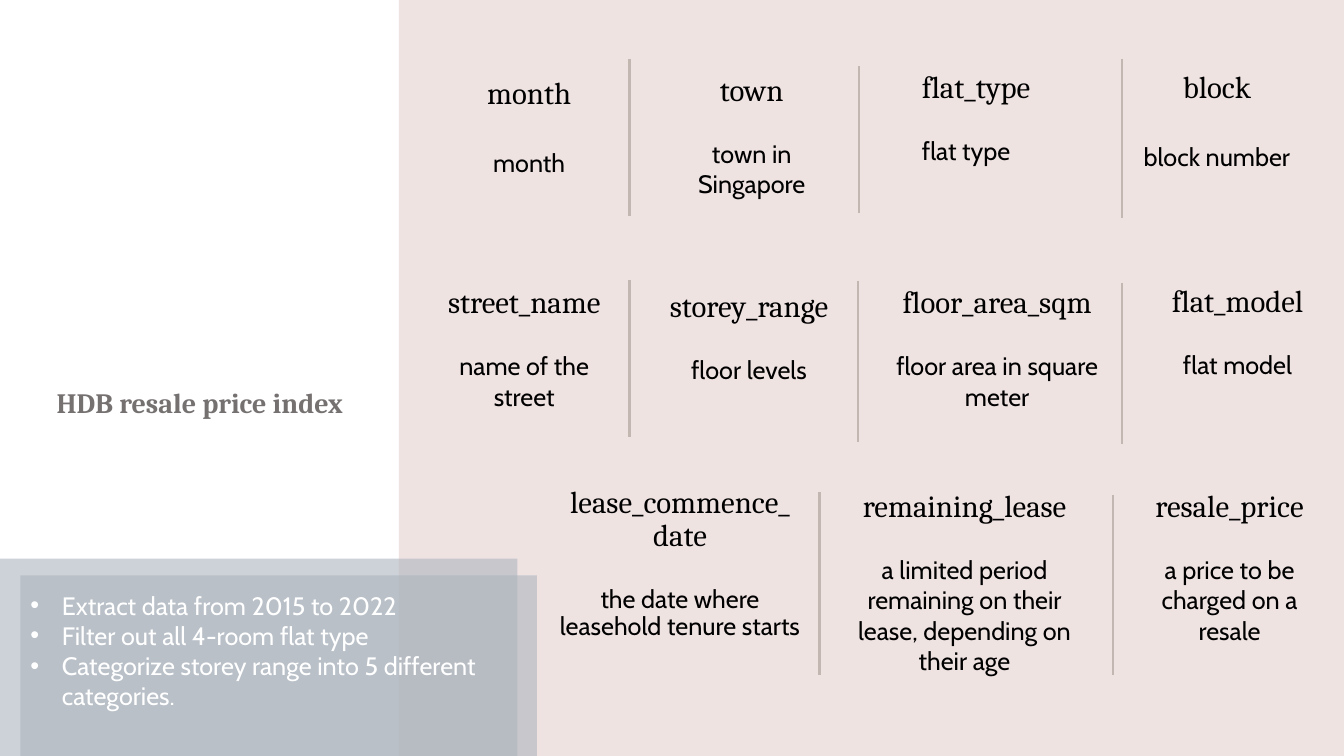
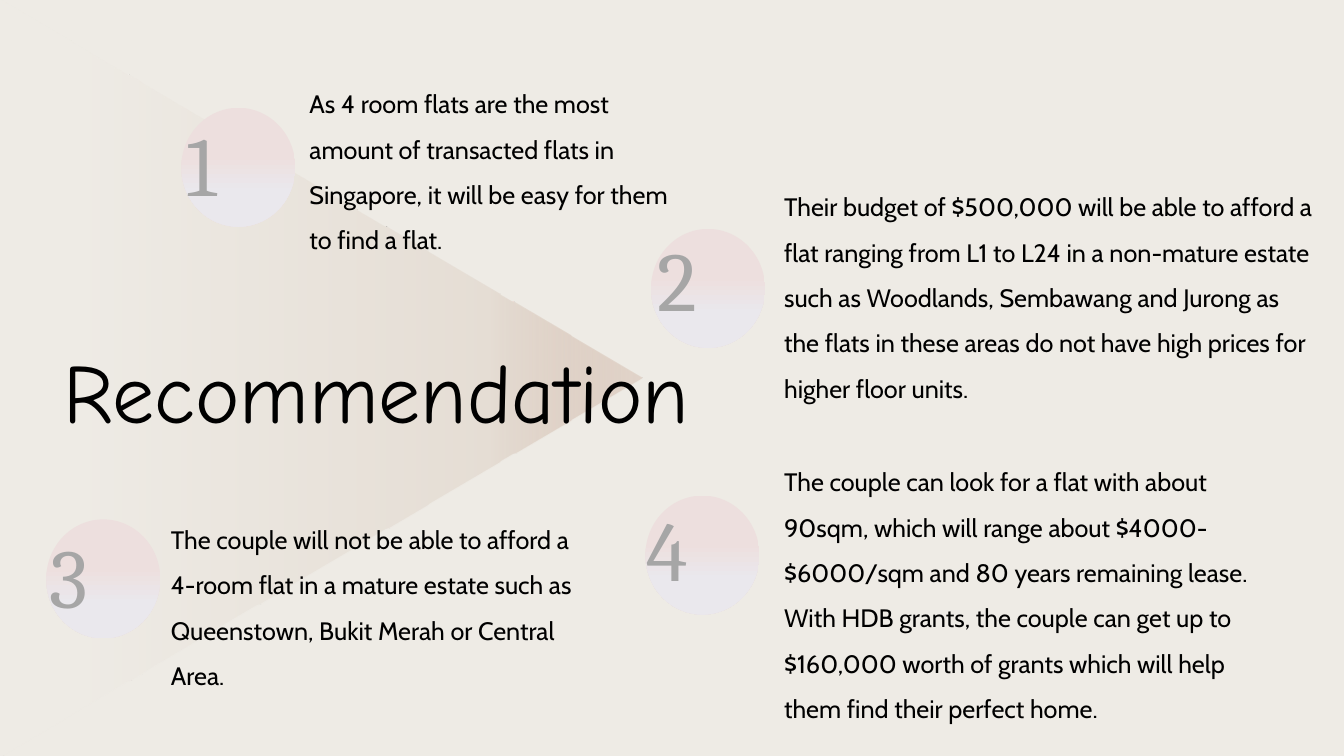
from lxml.etree import SubElement
from pptx import Presentation
from pptx.dml.color import RGBColor
from pptx.enum.shapes import MSO_CONNECTOR, MSO_SHAPE
from pptx.enum.text import MSO_ANCHOR, MSO_AUTO_SIZE, PP_ALIGN
from pptx.oxml.ns import qn
from pptx.util import Pt

# Shared look
BLACK = RGBColor(0x00, 0x00, 0x00)
WHITE = RGBColor(0xFF, 0xFF, 0xFF)
TITLE_GREY = RGBColor(0x76, 0x71, 0x71)
NUMBER_GREY = RGBColor(0xA6, 0xA6, 0xA6)
ROSE = RGBColor(0xED, 0xDF, 0xDE)
LAVENDER = RGBColor(0xEA, 0xE8, 0xED)
SLATE = RGBColor(0xAD, 0xB5, 0xBE)
TAUPE = RGBColor(0xC2, 0xB7, 0xB1)
TAN = RGBColor(0xCF, 0xB4, 0xA4)
SAND = RGBColor(0xE5, 0xDD, 0xD4)
CREAM = RGBColor(0xEE, 0xEB, 0xE5)
HEADING_FONT, BODY_FONT, DISPLAY_FONT = "Cambria", "Cabin", "Comic Neue"
CENTER, LEFT = PP_ALIGN.CENTER, PP_ALIGN.LEFT


def paint(shape, *stops):
    """Fill with (position, colour, opacity) stops: one is solid, more run top to bottom."""
    shape.shadow.inherit = False
    shape.line.fill.background()
    if len(stops) == 1:
        shape.fill.solid()
        shape.fill.fore_color.rgb = stops[0][1]
        colors = [shape.element.spPr.find(qn("a:solidFill"))[0]]
    else:
        shape.fill.gradient()
        shape.fill.gradient_angle = 270
        stop_list = shape.element.spPr.find(qn("a:gradFill")).find(qn("a:gsLst"))
        for old_stop in list(stop_list):
            stop_list.remove(old_stop)
        colors = []
        for position, color, _ in stops:
            stop = SubElement(stop_list, qn("a:gs"), pos=str(position * 1000))
            colors.append(SubElement(stop, qn("a:srgbClr"), val=str(color)))
    for color, (_, _, opacity) in zip(colors, stops):
        if opacity < 100:
            SubElement(color, qn("a:alpha"), val=str(opacity * 1000))


def write(shape, box, paragraphs, align=LEFT, spacing=1.0, gap=0, anchor=MSO_ANCHOR.TOP):
    """Place a shape and write (text, size, font, colour) paragraphs, a gap between them."""
    shape.left, shape.top, shape.width, shape.height = [Pt(length) for length in box]
    frame = shape.text_frame
    frame.word_wrap = True
    frame.auto_size = MSO_AUTO_SIZE.NONE
    frame.vertical_anchor = anchor
    for index, (text, size, font, color) in enumerate(paragraphs):
        paragraph = frame.paragraphs[0] if index == 0 else frame.add_paragraph()
        paragraph.alignment = align
        paragraph.line_spacing = spacing
        paragraph.space_before = Pt(gap if index else 0)
        run = paragraph.add_run()
        run.text = text
        run.font.size = Pt(size)
        run.font.name = font
        run.font.color.rgb = color


presentation = Presentation()
presentation.slide_width, presentation.slide_height = Pt(960), Pt(540)

# Slide 1: the fields of the data set
slide = presentation.slides.add_slide(presentation.slide_layouts[1])
title, body = slide.shapes.title, slide.placeholders[1]
panel = slide.shapes.add_shape(MSO_SHAPE.RECTANGLE, Pt(285), 0, Pt(675), Pt(540))
paint(panel, (0, ROSE, 85))

write(title, (14.5, 202.5, 256.5, 157),
      [("HDB resale price index", 20, HEADING_FONT, TITLE_GREY)],
      CENTER, 1.5, anchor=MSO_ANCHOR.MIDDLE)
title.text_frame.paragraphs[0].runs[0].font.bold = True

# Field cards: left, top, width, name, meaning, alignment, line spacing, gap
cards = [
    (322.5, 49, 111, "month", "month", CENTER, 1, 26.5),
    (481.5, 47, 111, "town", "town in Singapore", CENTER, 1, 22),
    (651.5, 44.5, 111, "flat_type", "flat type", LEFT, 1, 22),
    (801.5, 44.5, 135.5, "block", "block number", CENTER, 1, 26.5),
    (300, 198.5, 149, "street_name", "name of the street", CENTER, 1, 22),
    (459.5, 201, 151, "storey_range", "floor levels", CENTER, 1, 22),
    (623, 198.5, 178.5, "floor_area_sqm", "floor area in square meter", CENTER, 1, 22),
    (813.5, 197.5, 141, "flat_model", "flat model", CENTER, 1, 22),
    (390, 344, 191.5, "lease_commence_ date",
     "the date where leasehold tenure starts", CENTER, 0.9, 24),
    (593.5, 344, 191, "remaining_lease",
     "a limited period remaining on their lease, depending on their age", CENTER, 1, 22),
    (805.5, 344, 145.5, "resale_price",
     "a price to be charged on a resale", CENTER, 1, 22),
]
for left, top, width, name, meaning, align, spacing, gap in cards:
    card = slide.shapes.add_textbox(0, 0, 0, 0)
    write(card, (left, top, width, 140),
          [(name, 22, HEADING_FONT, BLACK), (meaning, 18, BODY_FONT, BLACK)],
          align, spacing, gap)

# Separators: x, top, bottom
separators = [
    (449.5, 42, 154), (613.5, 47, 152), (801.5, 42, 156),
    (449.5, 200, 312), (613, 201, 315.5), (801.5, 202.5, 317),
    (585.5, 351.5, 482.5), (795, 353.5, 482.5),
]
for x, top, bottom in separators:
    separator = slide.shapes.add_connector(
        MSO_CONNECTOR.STRAIGHT, Pt(x), Pt(top), Pt(x), Pt(bottom))
    separator.line.color.rgb = TAUPE
    separator.line.width = Pt(1.75)
    SubElement(separator.element.spPr, qn("a:effectLst"))

# Data preparation list on two overlapping bands
band = slide.shapes.add_shape(MSO_SHAPE.RECTANGLE, 0, Pt(399), Pt(369.5), Pt(141))
paint(band, (0, SLATE, 60))
steps = [
    "Extract data from 2015 to 2022",
    "Filter out all 4-room flat type",
    "Categorize storey range into 5 different categories.",
]
write(body, (14.5, 411, 369, 129),
      [(step, 18, BODY_FONT, WHITE) for step in steps], anchor=MSO_ANCHOR.MIDDLE)
paint(body, (0, SLATE, 60))
body.text_frame.margin_bottom = Pt(25.5)
for paragraph in body.text_frame.paragraphs:
    properties = paragraph._p.get_or_add_pPr()
    properties.set("marL", str(Pt(22.5)))
    properties.set("indent", str(-Pt(22.5)))
for placeholder in (title, body):
    placeholder.element.getparent().append(placeholder.element)

# Slide 2: recommendation
slide = presentation.slides.add_slide(presentation.slide_layouts[5])
slide.background.fill.solid()
slide.background.fill.fore_color.rgb = CREAM
title = slide.shapes.title
triangle = slide.shapes.add_shape(
    MSO_SHAPE.ISOSCELES_TRIANGLE, Pt(-40.5), Pt(40.5), Pt(540), Pt(459))
triangle.rotation = 90
paint(triangle, (0, TAN, 41), (24, SAND, 100), (88, CREAM, 100))
title.element.getparent().append(title.element)
write(title, (21.5, 239, 494.5, 80),
      [("Recommendation", 60, DISPLAY_FONT, BLACK)], CENTER)

# Numbered points: circle corner, number corner, text box, text
points = [
    ((129.5, 77), (103.5, 76.5), (214, 49, 287.5, 134.5),
     "As 4 room flats are the most amount of transacted flats in Singapore, "
     "it will be easy for them to find a flat."),
    ((465, 163.5), (443, 159), (553, 122.5, 391.5, 168),
     "Their budget of $500,000 will be able to afford a flat ranging from L1 to L24 "
     "in a non-mature estate such as Woodlands, Sembawang and Jurong as the flats "
     "in these areas do not have high prices for higher floor units."),
    ((33, 371), (8.5, 371), (115, 360, 314.5, 134.5),
     "The couple will not be able to afford a 4-room flat in a mature estate "
     "such as Queenstown, Bukit Merah or Central Area."),
    ((461, 354), (435.5, 351.5), (553, 319, 358.5, 200),
     "The couple can look for a flat with about 90sqm, which will range about "
     "$4000-$6000/sqm and 80 years remaining lease. With HDB grants, the couple "
     "can get up to $160,000 worth of grants which will help them find their "
     "perfect home."),
]
for number, (circle_at, number_at, text_box, text) in enumerate(points, 1):
    circle = slide.shapes.add_shape(
        MSO_SHAPE.OVAL, Pt(circle_at[0]), Pt(circle_at[1]), Pt(81.5), Pt(85))
    paint(circle, (40, ROSE, 100), (71, LAVENDER, 100), (91, LAVENDER, 100))
    write(slide.shapes.add_textbox(0, 0, 0, 0), (*number_at, 81.5, 80),
          [(str(number), 60, HEADING_FONT, NUMBER_GREY)], CENTER)
    write(slide.shapes.add_textbox(0, 0, 0, 0), text_box,
          [(text, 18, BODY_FONT, BLACK)], spacing=1.5)

presentation.save("out.pptx")
